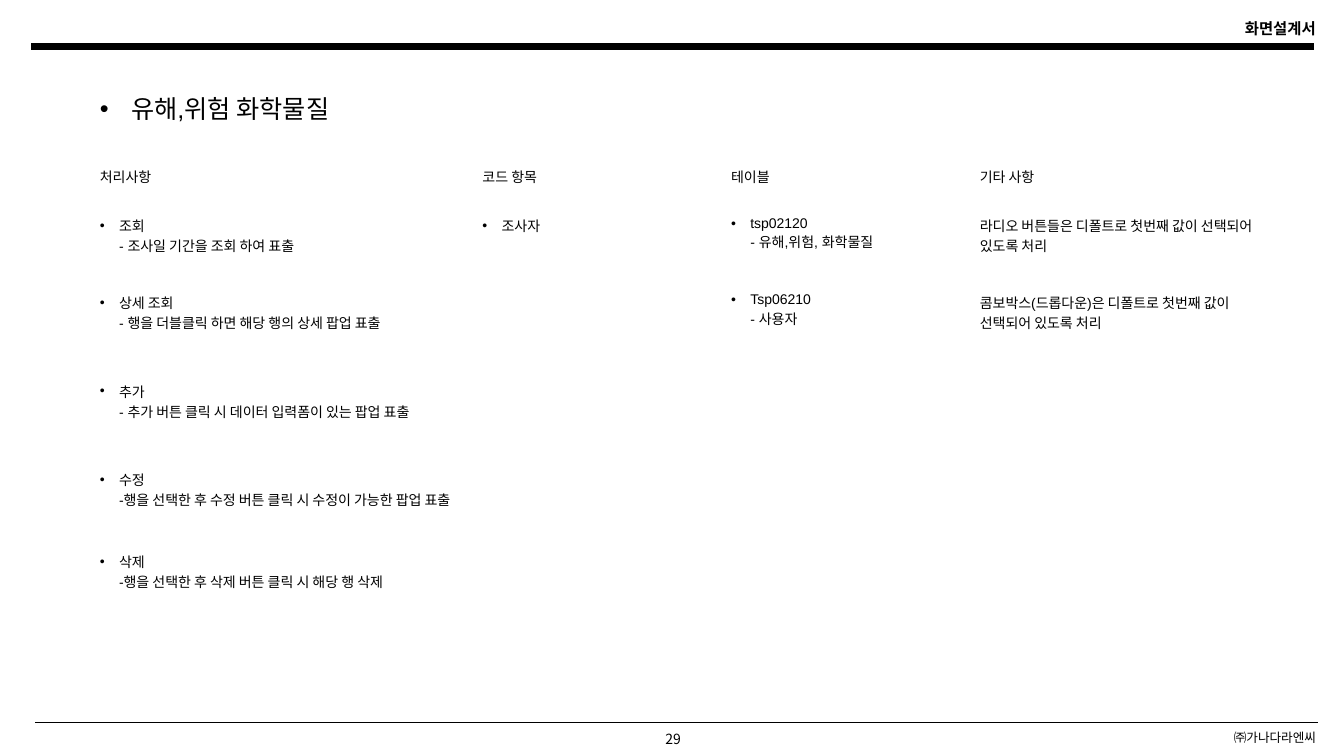
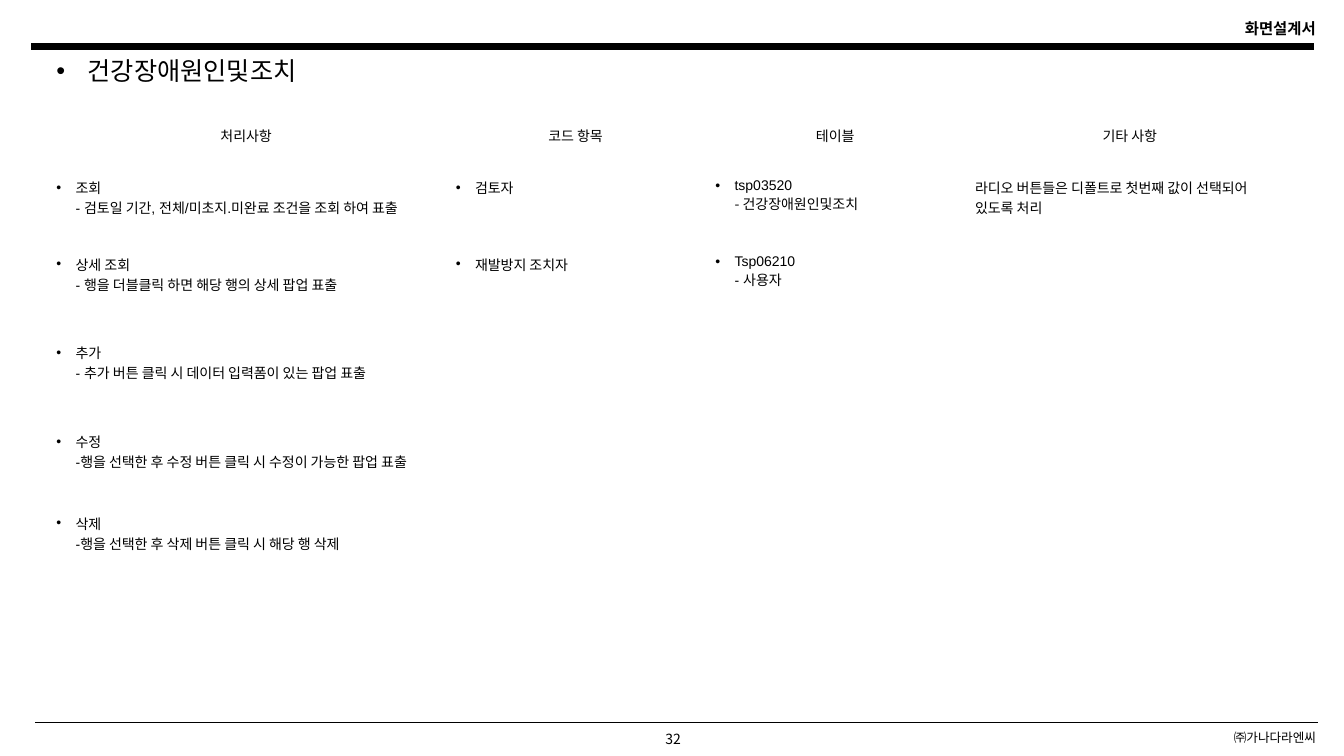
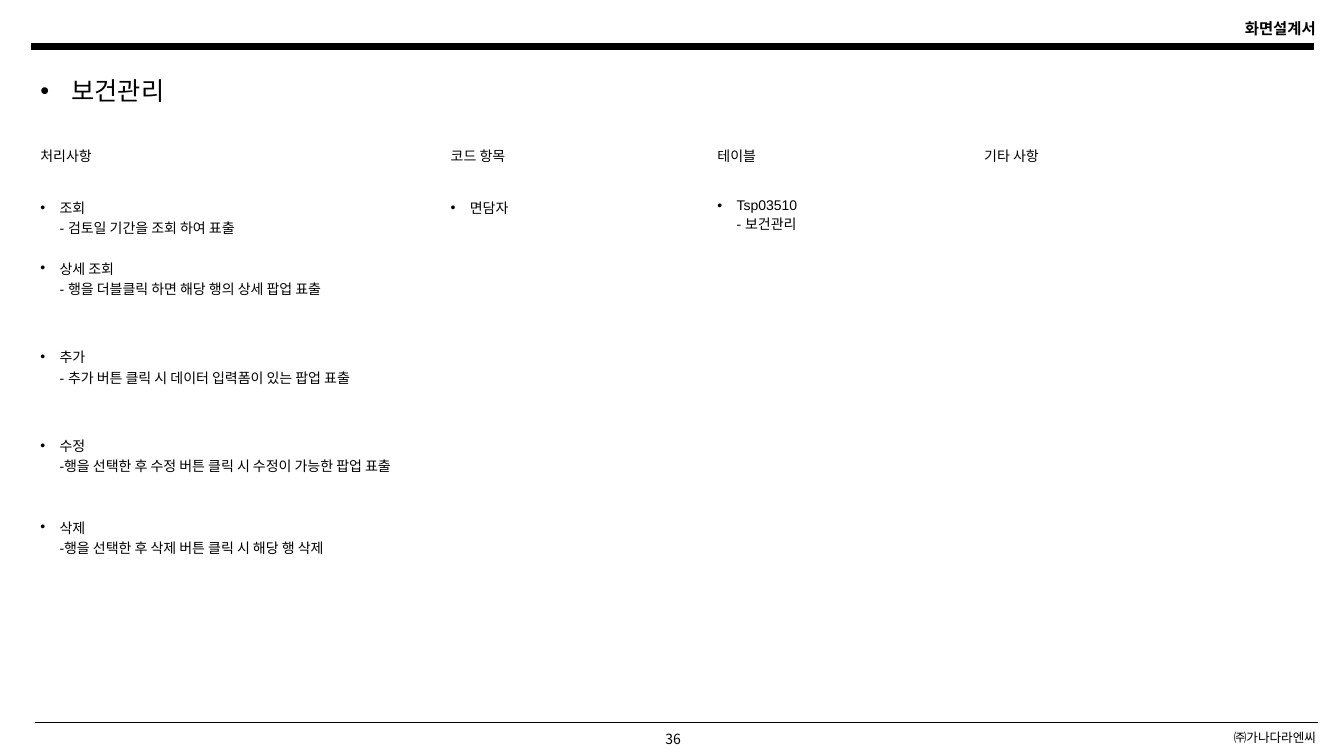
from copy import deepcopy
from typing import NamedTuple

from lxml import etree
from pptx import Presentation
from pptx import util as u
from pptx.dml.color import RGBColor
from pptx.enum import shapes, text
from pptx.oxml.ns import qn

# Shared look
BLACK = RGBColor(0, 0, 0)
WHITE = RGBColor(255, 255, 255)
LATIN, KOREAN = "Arial", "Noto Sans CJK KR"
LEFT, MID, RIGHT = text.PP_ALIGN.LEFT, text.PP_ALIGN.CENTER, text.PP_ALIGN.RIGHT
WIDE, HIGH = 13.33, 7.5
RULE = 12.72  # length of both rules

# Table grid: column shares of the table width, fixed row heights
COLS = (0.32, 0.208, 0.208, 0.264)
ROWS = (0.88, 0.88, 0.81, 1.1)
HEADS = ("처리사항", "코드 항목", "테이블", "기타 사항")

# Wording used on every slide
TASKS = (
    "상세 조회\n- 행을 더블클릭 하면 해당 행의 상세 팝업 표출",
    "추가\n- 추가 버튼 클릭 시 데이터 입력폼이 있는 팝업 표출",
    "수정\n-행을 선택한 후 수정 버튼 클릭 시 수정이 가능한 팝업 표출",
    "삭제\n-행을 선택한 후 삭제 버튼 클릭 시 해당 행 삭제",
)
RADIO = "라디오 버튼들은 디폴트로 첫번째 값이 선택되어 있도록 처리"
COMBO = "콤보박스(드롭다운)은 디폴트로 첫번째 값이 선택되어 있도록 처리"
USER = "Tsp06210\n- 사용자"


class Page(NamedTuple):
    num: int
    title: str
    head: tuple    # left, top, width of the title
    top: float     # top of the table
    width: float   # width of the table
    rows: tuple    # heights of the header and first row
    find: str      # first task
    codes: tuple
    tables: tuple
    notes: tuple = ()
    align: int = LEFT
    sub: str = LATIN  # font of the first table's detail line


PAGES = (
    Page(29, "유해,위험 화학물질", (0.89, 0.88, 5), 1.6, 11.86, (0.49, 0.76),
         "조회\n- 조사일 기간을 조회 하여 표출", ("조사자",),
         ("tsp02120\n- 유해,위험, 화학물질", USER), (RADIO, COMBO)),
    Page(32, "건강장애원인및조치", (0.46, 0.5, 11.16), 1.19, 12.38, (0.52, 0.76),
         "조회\n- 검토일 기간, 전체/미초지.미완료 조건을 조회 하여 표출",
         ("검토자", "재발방지 조치자"),
         ("tsp03520\n- 건강장애원인및조치", USER), (RADIO,), MID, KOREAN),
    Page(36, "보건관리", (0.3, 0.7, 5), 1.39, 12.72, (0.52, 0.6),
         "조회\n- 검토일 기간을 조회 하여 표출", ("면담자",),
         ("Tsp03510\n- 보건관리",)),
)


def style(para, size, font=LATIN, bold=False, align=LEFT, sub=None):
    """Format every run; sub is the font of the lines after the first."""
    para.alignment = align
    for i, run in enumerate(para.runs):
        run.font.size, run.font.bold = u.Pt(size), bold
        run.font.name = sub if sub and i else font
        run.font.color.rgb = BLACK
        props = run.font._element
        etree.SubElement(props, qn("a:ea")).set("typeface", KOREAN)
    # Line breaks take the size and font of the last run
    for gap in para._p.findall(qn("a:br")):
        gap.append(deepcopy(props))


def bullet(para, ind):
    props = para._p.get_or_add_pPr()
    props.set("marL", str(u.Inches(ind)))
    props.set("indent", str(-u.Inches(ind)))
    etree.SubElement(props, qn("a:buFont")).set("typeface", LATIN)
    etree.SubElement(props, qn("a:buChar")).set("char", "•")


def label(slide, words, box, size, align, bold=False):
    frame = slide.shapes.add_textbox(*map(u.Inches, box)).text_frame
    frame.word_wrap = True
    frame.text = words
    style(frame.paragraphs[0], size, KOREAN, bold, align)


def rule(slide, left, top, weight):
    ends = map(u.Inches, (left, top, left + RULE, top))
    line = slide.shapes.add_connector(shapes.MSO_CONNECTOR.STRAIGHT, *ends)
    line.line.color.rgb = BLACK
    line.line.width = u.Pt(weight)
    etree.SubElement(line._element.spPr, qn("a:effectLst"))


def frame_page(slide, num):
    """Header and footer."""
    label(slide, "화면설계서", (8.04, 0.14, 5.11, 0.29), 11, RIGHT, True)
    label(slide, str(num), (6.1, 7.2, 1.15, 0.27), 10, MID)
    rule(slide, 0.31, 0.46, 4.5)
    label(slide, "㈜가나다라엔씨", (8.04, 7.19, 5.11, 0.25), 9, RIGHT)
    rule(slide, 0.35, 7.17, 1)


def set_title(slide, page):
    title = slide.shapes.title
    left, top, width = page.head
    title.left, title.top = u.Inches(left), u.Inches(top)
    title.width, title.height = u.Inches(width), u.Inches(0.4)
    frame = title.text_frame
    frame.text = page.title
    frame.auto_size = text.MSO_AUTO_SIZE.NONE
    frame.vertical_anchor = text.MSO_ANCHOR.TOP
    style(frame.paragraphs[0], 18)
    bullet(frame.paragraphs[0], 0.31)


def fill_cell(cell, words, **look):
    cell.fill.solid()
    cell.fill.fore_color.rgb = WHITE
    para = cell.text_frame.paragraphs[0]
    if words:
        para.text = words
        style(para, 10, **look)
    else:
        para.font.size = u.Pt(10)
    return para


def add_grid(slide, page):
    highs = page.rows + ROWS
    box = (page.head[0], page.top, page.width, sum(highs))
    grid = slide.shapes.add_table(len(highs), len(COLS), *map(u.Inches, box)).table
    grid.horz_banding = False
    for col, share in zip(grid.columns, COLS):
        col.width = u.Inches(page.width * share)
    for row, high in zip(grid.rows, highs):
        row.height = u.Inches(high)
    # Each column is filled from the top; only the notes have no bullets
    lists = ((page.find,) + TASKS, page.codes, page.tables, page.notes)
    for c, items in enumerate(lists):
        fill_cell(grid.cell(0, c), HEADS[c], align=page.align)
        for r in range(1, len(highs)):
            words = items[r - 1] if r <= len(items) else ""
            sub = page.sub if (r, c) == (1, 2) else LATIN
            para = fill_cell(grid.cell(r, c), words, sub=sub)
            if words and items is not page.notes:
                bullet(para, 0.19)


def main():
    deck = Presentation()
    deck.slide_width, deck.slide_height = u.Inches(WIDE), u.Inches(HIGH)
    for page in PAGES:
        slide = deck.slides.add_slide(deck.slide_layouts[5])
        frame_page(slide, page.num)
        add_grid(slide, page)
        set_title(slide, page)
    deck.save("out.pptx")


if __name__ == "__main__":
    main()
